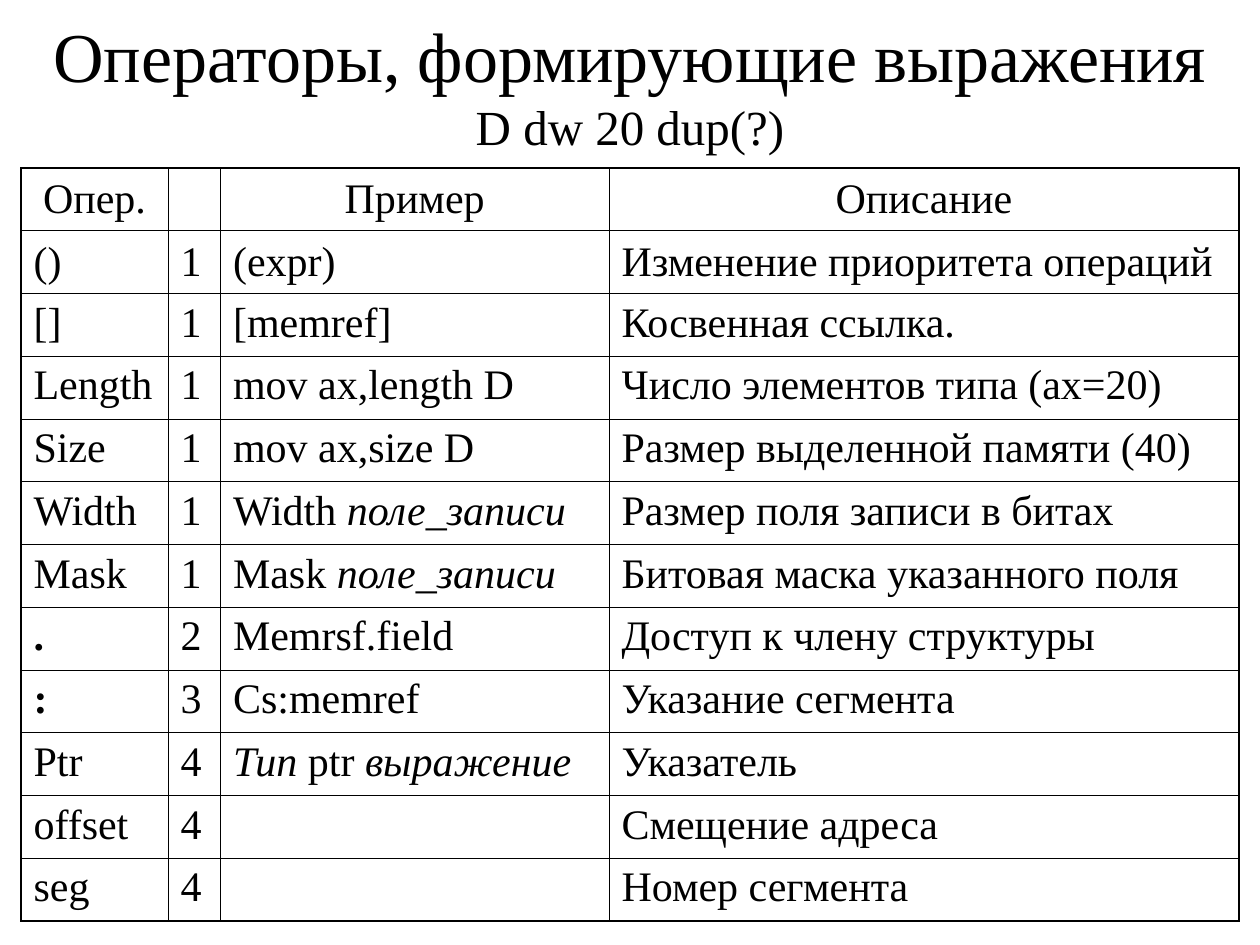
"""Build a slide with a table of assembler expression operators."""
from lxml.etree import SubElement
from pptx import Presentation
from pptx.dml.color import RGBColor
from pptx.enum.text import MSO_ANCHOR, MSO_AUTO_SIZE, PP_ALIGN
from pptx.oxml.ns import qn
from pptx.util import Inches, Pt

UNIT = Inches(10) // 120
INK = "000000"
THIN, THICK = 0.45, 1.08
COLS = [14, 5, 37, 60]
ROWS = [
    ["Опер.", "", "Пример", "Описание"],
    ["()", "1", "(expr)", "Изменение приоритета операций"],
    ["[]", "1", "[memref]", "Косвенная ссылка."],
    ["Length", "1", "mov ax,length D", "Число элементов типа (ax=20)"],
    ["Size", "1", "mov ax,size D", "Размер выделенной памяти (40)"],
    ["Width", "1", "Width *поле_записи", "Размер поля записи в битах"],
    ["Mask", "1", "Mask *поле_записи", "Битовая маска указанного поля"],
    [".", "2", "Memrsf.field", "Доступ к члену структуры"],
    [":", "3", "Cs:memref", "Указание сегмента"],
    ["Ptr", "4", "*Тип *ptr *выражение", "Указатель"],
    ["offset", "4", "", "Смещение адреса"],
    ["seg", "4", "", "Номер сегмента"],
]


def write(para, text, size, **style):
    run = para.add_run()
    run.text = text
    look = {"name": "Times New Roman", "size": Pt(size), **style}
    for key, val in look.items():
        setattr(run.font, key, val)
    run.font.color.rgb = RGBColor.from_string(INK)


def edge(cell, side, width):
    line = SubElement(cell._tc.get_or_add_tcPr(), qn(f"a:ln{side}"), w=str(Pt(width)))
    fill = SubElement(line, qn("a:solidFill"))
    SubElement(fill, qn("a:srgbClr"), val=INK)


deck = Presentation()
deck.slide_width, deck.slide_height = 120 * UNIT, 90 * UNIT
slide = deck.slides.add_slide(deck.slide_layouts[5])

title = slide.shapes.title
place = {"left": 2, "top": 0, "width": sum(COLS), "height": 16}
for key, val in place.items():
    setattr(title, key, val * UNIT)
frame = title.text_frame
form = {"auto_size": MSO_AUTO_SIZE.NONE, "word_wrap": True,
        "vertical_anchor": MSO_ANCHOR.MIDDLE}
for key, val in form.items():
    setattr(frame, key, val)
para = frame.paragraphs[0]
para.alignment = PP_ALIGN.CENTER
write(para, "Операторы, формирующие выражения", 40)
para.add_line_break()
write(para, "D dw 20 dup(?)", 28)

high = Inches(5.98)
table = slide.shapes.add_table(len(ROWS), len(COLS), 2 * UNIT, 16 * UNIT,
                               sum(COLS) * UNIT, high).table
table.first_row = table.horz_banding = False
for col, wide in zip(table.columns, COLS):
    col.width = wide * UNIT
for row in table.rows:
    row.height = high // len(ROWS)

for r, row in enumerate(ROWS):
    for c, text in enumerate(row):
        cell = table.cell(r, c)
        outer = {"L": c == 0, "R": c == len(COLS) - 1,
                 "T": r == 0, "B": r == len(ROWS) - 1}
        for side, rim in outer.items():
            edge(cell, side, THICK if rim else THIN)
        cell.fill.background()
        cell.vertical_anchor = MSO_ANCHOR.MIDDLE if r < 2 else MSO_ANCHOR.TOP
        para = cell.text_frame.paragraphs[0]
        para.space_before = Pt(6)
        para.alignment = PP_ALIGN.LEFT if r else PP_ALIGN.CENTER
        for n, part in enumerate(text.split("*")):
            if part:
                write(para, part, 24, italic=n % 2 == 1, bold=part in (".", ":"))

deck.save("out.pptx")
